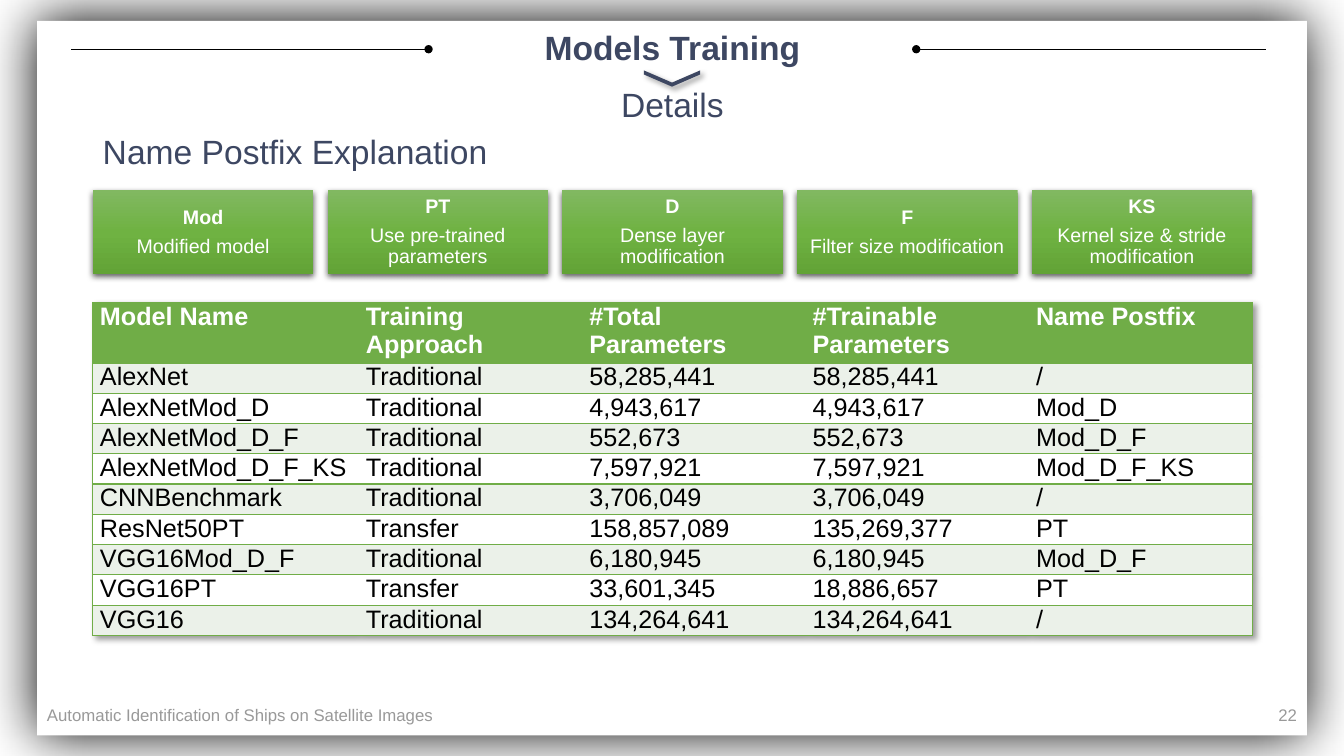
from dataclasses import dataclass

from pptx import Presentation
from pptx.dml.color import RGBColor
from pptx.enum import shapes, text
from pptx.oxml import parse_xml
from pptx.oxml.ns import qn
from pptx.util import Cm, Pt

TITLE = "Models Training"
SUBTITLE = "Details"
HEADING = "Name Postfix Explanation"
FOOTER = "Automatic Identification of Ships on Satellite Images"
PAGE_NUMBER = "22"
POSTFIXES = [
    ("Mod", "Modified model"),
    ("PT", "Use pre-trained parameters"),
    ("D", "Dense layer modification"),
    ("F", "Filter size modification"),
    ("KS", "Kernel size & stride modification"),
]
MODELS = [
    ("Model Name", "Training Approach", "#Total Parameters", "#Trainable Parameters", "Name Postfix"),
    ("AlexNet", "Traditional", "58,285,441", "58,285,441", "/"),
    ("AlexNetMod_D", "Traditional", "4,943,617", "4,943,617", "Mod_D"),
    ("AlexNetMod_D_F", "Traditional", "552,673", "552,673", "Mod_D_F"),
    ("AlexNetMod_D_F_KS", "Traditional", "7,597,921", "7,597,921", "Mod_D_F_KS"),
    ("CNNBenchmark", "Traditional", "3,706,049", "3,706,049", "/"),
    ("ResNet50PT", "Transfer", "158,857,089", "135,269,377", "PT"),
    ("VGG16Mod_D_F", "Traditional", "6,180,945", "6,180,945", "Mod_D_F"),
    ("VGG16PT", "Transfer", "33,601,345", "18,886,657", "PT"),
    ("VGG16", "Traditional", "134,264,641", "134,264,641", "/"),
]


@dataclass(frozen=True)
class Theme:
    font: str = "Arial"
    navy: str = "3D4762"
    green: str = "70AD47"
    band: str = "EBF1E9"
    white: str = "FFFFFF"
    black: str = "000000"
    muted: str = "999999"
    gradient: tuple = ((0, "81B861"), (50, "6FB242"), (100, "62A336"))
    heading_size: int = 24
    table_size: int = 18
    box_size: int = 14
    footer_size: int = 12


THEME = Theme()
NAMESPACE = 'xmlns:a="http://schemas.openxmlformats.org/drawingml/2006/main"'
PLAIN_STYLE = "{2D5ABB26-0587-4C30-8999-92F81FD0307C}"
SLIDE_WIDTH, SLIDE_HEIGHT = 33.87, 19.05
CARD_WIDTH, CARD_HEIGHT = 32, 18
CARD_LEFT = (SLIDE_WIDTH - CARD_WIDTH) / 2
CONTENT_LEFT = 2.34
COLUMNS = [6.7] + [5.63] * 4
CONTENT_WIDTH = sum(COLUMNS)
TITLE_LEFT, TITLE_WIDTH = 10.8, 12.29
RULE_Y = 1.24


def effects(alpha, blur, distance, angle):
    """Effect list holding one outer shadow; blur and distance in points."""
    return parse_xml(
        f'<a:effectLst {NAMESPACE}><a:outerShdw blurRad="{Pt(blur)}" dist="{Pt(distance)}" '
        f'dir="{angle * 60000}" algn="ctr" rotWithShape="0"><a:srgbClr val="{THEME.black}">'
        f'<a:alpha val="{alpha * 1000}"/></a:srgbClr></a:outerShdw></a:effectLst>')


def style(para, size, colour, bold=False, align=text.PP_ALIGN.LEFT):
    para.alignment = align
    para.font.name = THEME.font
    para.font.size = Pt(size)
    para.font.bold = bold
    para.font.color.rgb = RGBColor.from_string(colour)


def add_text(page, words, place, size, colour, bold=False, align=text.PP_ALIGN.LEFT, wrap=True):
    box = page.shapes.add_textbox(*map(Cm, place))
    frame = box.text_frame
    frame.word_wrap = wrap
    frame.vertical_anchor = text.MSO_ANCHOR.MIDDLE
    frame.text = words
    style(frame.paragraphs[0], size, colour, bold, align)
    return frame.paragraphs[0]


def add_block(page, kind, place, shadow, colour=None):
    """Shape without outline, with a shadow; without a colour it gets the green gradient."""
    block = page.shapes.add_shape(kind, *map(Cm, place))
    block.line.fill.background()
    if colour:
        block.fill.solid()
        block.fill.fore_color.rgb = RGBColor.from_string(colour)
    else:
        stops = "".join(f'<a:gs pos="{place * 1000}"><a:srgbClr val="{shade}"/></a:gs>'
                        for place, shade in THEME.gradient)
        block.element.spPr.find(qn("a:prstGeom")).addnext(parse_xml(
            f'<a:gradFill {NAMESPACE} rotWithShape="1"><a:gsLst>{stops}</a:gsLst>'
            '<a:lin ang="5400000" scaled="0"/></a:gradFill>'))
    block.element.spPr.append(effects(*shadow))
    return block


def add_rule(page, start, end):
    """Thin line with a dot where it starts."""
    rule = page.shapes.add_connector(
        shapes.MSO_CONNECTOR.STRAIGHT, Cm(start), Cm(RULE_Y), Cm(end), Cm(RULE_Y))
    rule.line.width = Pt(0.5)
    rule.line.color.rgb = RGBColor.from_string(THEME.black)
    rule.line._get_or_add_ln().append(parse_xml(f'<a:headEnd {NAMESPACE} type="oval"/>'))
    rule._element.spPr.append(parse_xml(f"<a:effectLst {NAMESPACE}/>"))


def add_postfix_boxes(page):
    width, height, top = 5.56, 2.11, 4.8
    pitch = (CONTENT_WIDTH - width) / (len(POSTFIXES) - 1)
    for index, (postfix, meaning) in enumerate(POSTFIXES):
        box = add_block(page, shapes.MSO_SHAPE.RECTANGLE,
                        (CONTENT_LEFT + index * pitch, top, width, height), (63, 4.5, 1.5, 90))
        frame = box.text_frame
        frame.word_wrap = True
        frame.vertical_anchor = text.MSO_ANCHOR.MIDDLE
        frame.margin_left = frame.margin_right = frame.margin_top = frame.margin_bottom = Cm(0.15)
        frame.text = f"{postfix}\n{meaning}"
        for para, bold in zip(frame.paragraphs, (True, False)):
            para.line_spacing = 0.9
            style(para, THEME.box_size, THEME.white, bold, text.PP_ALIGN.CENTER)
        frame.paragraphs[0].space_after = Pt(5.5)


def add_borders(cell, sides):
    properties = cell._tc.get_or_add_tcPr()
    for position, side in enumerate(sides):
        properties.insert(position, parse_xml(
            f'<a:ln{side} {NAMESPACE} w="{Pt(1)}"><a:solidFill>'
            f'<a:srgbClr val="{THEME.green}"/></a:solidFill></a:ln{side}>'))


def add_models_table(page):
    heights = [1.43] + [0.71] * (len(MODELS) - 1)
    table = page.shapes.add_table(
        len(MODELS), len(COLUMNS), Cm(CONTENT_LEFT), Cm(7.62),
        Cm(CONTENT_WIDTH), Cm(sum(heights))).table
    properties = table._tbl.tblPr
    properties.find(qn("a:tableStyleId")).text = PLAIN_STYLE
    properties.insert(0, effects(40, 4, 3, 45))
    for column, width in zip(table.columns, COLUMNS):
        column.width = Cm(width)
    for row, (height, values) in enumerate(zip(heights, MODELS)):
        table.rows[row].height = Cm(height)
        header = row == 0
        fill = THEME.green if header else THEME.band if row % 2 else THEME.white
        for column, value in enumerate(values):
            cell = table.cell(row, column)
            cell.text = value
            cell.margin_left = cell.margin_right = Cm(0.18)
            cell.margin_top = cell.margin_bottom = 0
            cell.fill.solid()
            cell.fill.fore_color.rgb = RGBColor.from_string(fill)
            style(cell.text_frame.paragraphs[0], THEME.table_size,
                  THEME.white if header else THEME.black, header)
            outer = {0: "L", len(COLUMNS) - 1: "R"}.get(column, "")
            add_borders(cell, outer + "TB")


def main():
    deck = Presentation()
    deck.slide_width, deck.slide_height = Cm(SLIDE_WIDTH), Cm(SLIDE_HEIGHT)
    page = deck.slides.add_slide(deck.slide_layouts[6])

    add_block(page, shapes.MSO_SHAPE.RECTANGLE,
              (CARD_LEFT, 0.53, CARD_WIDTH, CARD_HEIGHT), (99, 40, 0, 0), THEME.white)
    chevron = add_block(page, shapes.MSO_SHAPE.CHEVRON, (16.73, 1.27, 0.41, 1.42),
                        (40, 4, 3, 45), THEME.navy)
    chevron.adjustments[0] = 0.75
    chevron.rotation = 90
    add_rule(page, TITLE_LEFT, 1.78)
    add_rule(page, TITLE_LEFT + TITLE_WIDTH, 31.9)

    for words, top, bold in ((TITLE, 0.71, True), (SUBTITLE, 2.16, False)):
        para = add_text(page, words, (TITLE_LEFT, top, TITLE_WIDTH, 1.07),
                        THEME.heading_size, THEME.navy, bold, text.PP_ALIGN.CENTER)
        para.line_spacing = 0.9
    add_text(page, HEADING, (CONTENT_LEFT, 3.18, 10.31, 1.27),
             THEME.heading_size, THEME.navy, wrap=False)
    add_postfix_boxes(page)
    add_models_table(page)

    add_text(page, FOOTER, (CARD_LEFT, 17.5, 11.43, 1.02), THEME.footer_size, THEME.muted)
    add_text(page, PAGE_NUMBER, (CARD_LEFT + CARD_WIDTH - 7.62, 17.5, 7.62, 1.02),
             THEME.footer_size, THEME.muted, align=text.PP_ALIGN.RIGHT)
    deck.save("out.pptx")


if __name__ == "__main__":
    main()
